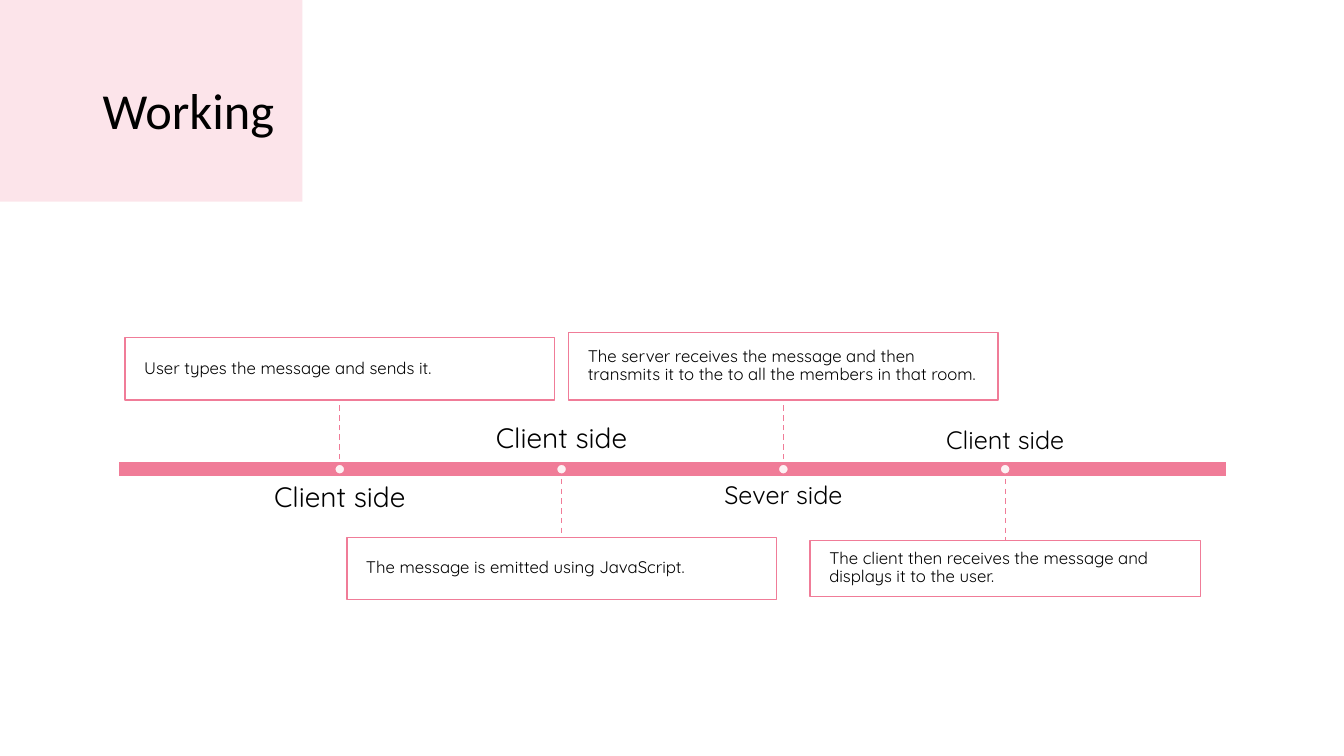
from dataclasses import dataclass
from lxml.etree import SubElement
from pptx import Presentation
from pptx.dml.color import RGBColor
from pptx.enum.dml import MSO_LINE
from pptx.enum.shapes import MSO_CONNECTOR, MSO_SHAPE
from pptx.enum.text import MSO_ANCHOR, PP_ALIGN
from pptx.oxml.ns import qn
from pptx.util import Inches, Pt

# Content: text, label, label size, box top, box width, box height, box above the bar
TITLE = "Working"
STEPS = [
    ("User types the message and sends it.", "Client side", 20, 3.35, 4.26, 0.62, True),
    ("The message is emitted using JavaScript.", "Client side", 20, 5.33, 4.26, 0.62, False),
    ("The server receives the message and then transmits it to the to all the "
     "members in that room.", "Sever side", 18, 3.3, 4.26, 0.67, True),
    ("The client then receives the message and displays it to the user.",
     "Client side", 18, 5.36, 3.87, 0.56, False),
]

# Brush stroke: points along its edge, joined by a smooth curve
STROKE = [
    (0, 0.34), (0.66, 0.38), (1.51, 0.38), (2.48, 0.41), (2.8, 0.47),
    (2.55, 0.54), (2.62, 0.62), (2.38, 0.66), (2.75, 0.74), (2.51, 0.75),
    (2.73, 0.81), (2.9, 0.85), (2.63, 0.88), (3.3, 0.94), (3.18, 1.06),
    (3.07, 1.11), (2.83, 1.16), (2.74, 1.28), (3.08, 1.28), (2.69, 1.38),
    (2.52, 1.48), (2.63, 1.48), (1.97, 1.72), (1.02, 1.88), (0.65, 1.91),
    (0, 1.88),
]


@dataclass(frozen=True)
class Theme:
    pink: RGBColor = RGBColor(0xF0, 0x7C, 0x98)
    white: RGBColor = RGBColor(255, 255, 255)
    black: RGBColor = RGBColor(0, 0, 0)
    head: str = "Calibri"
    body: str = "Quicksand"
    title: int = 36
    note: int = 12


LOOK = Theme()
BAR = (1.17, 4.58, 11, 0.15)
GAP = BAR[2] / (len(STEPS) + 1)
AXIS = BAR[1] + BAR[3] / 2
DOT = 0.1
LABEL = (3.52, 0.42)

deck = Presentation()
deck.slide_width, deck.slide_height = Inches(13.33), Inches(7.5)
slide = deck.slides.add_slide(deck.slide_layouts[6])
shapes = slide.shapes


def paint(shape, fill, line=None, alpha=100):
    shape.shadow.inherit = False
    shape.fill.solid()
    shape.fill.fore_color.rgb = fill
    if alpha < 100:
        color = shape.fill._xPr.find(qn("a:solidFill"))[0]
        SubElement(color, qn("a:alpha")).set("val", str(alpha * 1000))
    if line is None:
        shape.line.fill.background()
    else:
        shape.line.color.rgb = line
        shape.line.width = Pt(1)


def add_box(kind, place, **style):
    shape = shapes.add_shape(kind, *map(Inches, place))
    paint(shape, **style)
    return shape


def write(shape, text, size, font=LOOK.body, align=PP_ALIGN.LEFT,
          anchor=MSO_ANCHOR.MIDDLE, pad=(0, 0)):
    frame = shape.text_frame
    frame.word_wrap = True
    frame.vertical_anchor = anchor
    frame.margin_left = frame.margin_right = Inches(pad[0])
    frame.margin_top = frame.margin_bottom = Inches(pad[1])
    para = frame.paragraphs[0]
    para.alignment, para.line_spacing = align, 0.9
    run = para.add_run()
    run.text = text
    run.font.name, run.font.size = font, Pt(size)
    run.font.color.rgb = LOOK.black


def smooth(knots, parts=6, pull=0.3):
    ends = [knots[0], *knots, knots[-1]]
    points = []
    for quad in zip(ends, ends[1:], ends[2:], ends[3:]):
        for n in range(1, parts + 1):
            t = n / parts
            u = 1 - t
            points.append(tuple(
                u * u * (1 + 2 * t) * b + t * t * (1 + 2 * u) * c
                + pull * t * u * (u * (c - a) - t * (d - b))
                for a, b, c, d in zip(*quad)))
    return points


# Brush stroke and title
pen = shapes.build_freeform(*STROKE[0], scale=Inches(1))
pen.add_line_segments(smooth(STROKE), close=True)
paint(pen.convert_to_shape(), LOOK.pink, alpha=20)
title = shapes.add_textbox(*map(Inches, (0.92, 0.4, 11.5, 1.45)))
write(title, TITLE, LOOK.title, font=LOOK.head, pad=(0.1, 0.05))

# Timeline bar
add_box(MSO_SHAPE.RECTANGLE, BAR, fill=LOOK.pink, line=LOOK.white)

# Steps, each centred on its mark
for i, (text, label, size, top, wide, high, above) in enumerate(STEPS, 1):
    x = BAR[0] + i * GAP
    edge = top + high if above else top
    link = shapes.add_connector(
        MSO_CONNECTOR.STRAIGHT, *map(Inches, (x, AXIS, x, edge)))
    link.line.color.rgb, link.line.width = LOOK.pink, Pt(1)
    link.line.dash_style = MSO_LINE.DASH
    SubElement(link._element.spPr, qn("a:effectLst"))

    box = add_box(MSO_SHAPE.RECTANGLE, (x - wide / 2, top, wide, high),
                  fill=LOOK.white, line=LOOK.pink, alpha=90)
    write(box, text, LOOK.note, pad=(0.19, 0.03))
    link.end_connect(box, 2 if above else 0)

    y = 4.79 if above else 4.09
    name = shapes.add_textbox(*map(Inches, (x - LABEL[0] / 2, y, *LABEL)))
    write(name, label, size, align=PP_ALIGN.CENTER,
          anchor=MSO_ANCHOR.TOP if above else MSO_ANCHOR.BOTTOM)
    add_box(MSO_SHAPE.OVAL, (x - DOT / 2, AXIS - DOT / 2, DOT, DOT),
            fill=LOOK.white, line=LOOK.pink, alpha=90)

deck.save("out.pptx")
